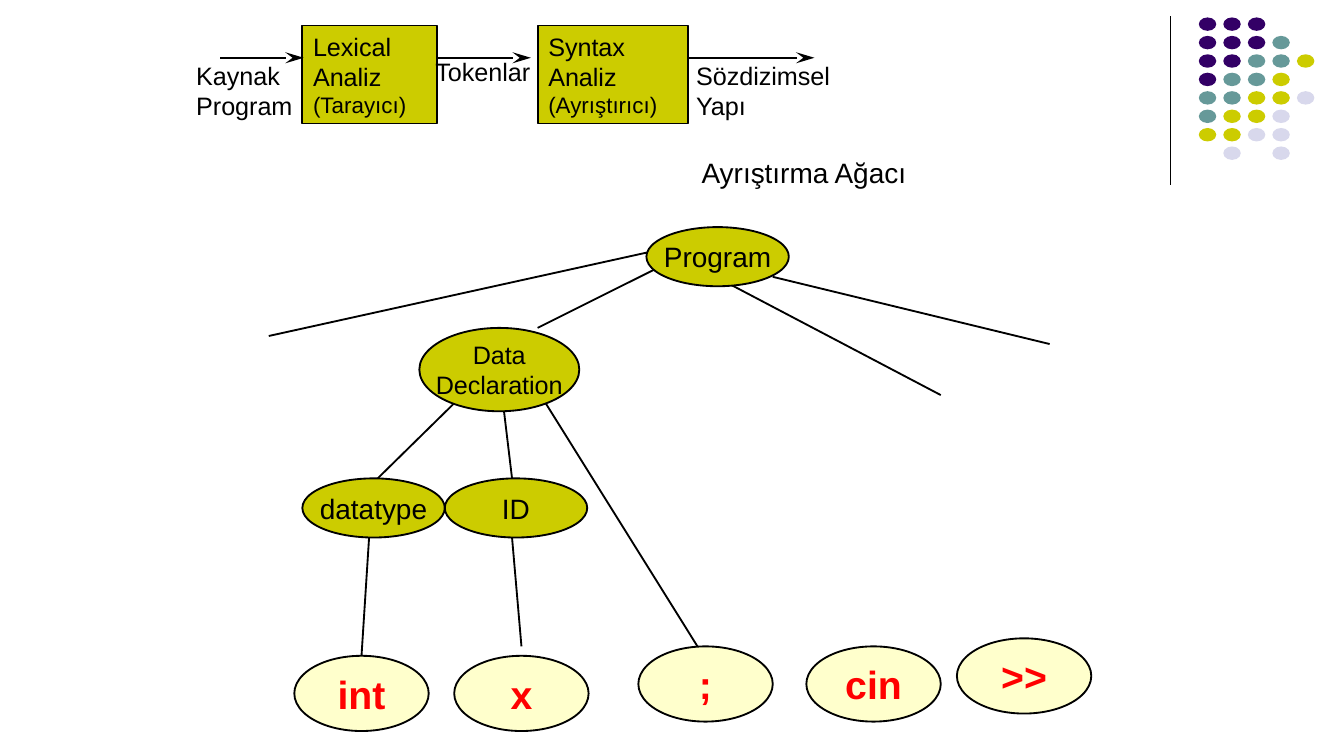
from lxml import etree
from pptx import Presentation
from pptx.dml.color import RGBColor
from pptx.enum.shapes import MSO_CONNECTOR, MSO_SHAPE
from pptx.enum.text import MSO_ANCHOR, PP_ALIGN
from pptx.oxml.ns import qn
from pptx.util import Inches, Pt

OVAL, RECTANGLE = MSO_SHAPE.OVAL, MSO_SHAPE.RECTANGLE
STRAIGHT = MSO_CONNECTOR.STRAIGHT
TOP, MIDDLE = MSO_ANCHOR.TOP, MSO_ANCHOR.MIDDLE
LEFT, CENTER = PP_ALIGN.LEFT, PP_ALIGN.CENTER

BLACK = RGBColor(0x00, 0x00, 0x00)
RED = RGBColor(0xFF, 0x00, 0x00)
OLIVE = RGBColor(0xCC, 0xCC, 0x00)
CREAM = RGBColor(0xFF, 0xFF, 0xCC)
PURPLE = RGBColor(0x33, 0x00, 0x66)
TEAL = RGBColor(0x66, 0x99, 0x99)
LAVENDER = RGBColor(0xD8, 0xD8, 0xEC)
FONT = "Arial"

SLIDE_WIDTH = 10
SLIDE_HEIGHT = SLIDE_WIDTH * 9 / 16

TITLE = ("Ayrıştırma Ağacı", (5.12, 1.11, 1.75, 0.35))
DIVIDER = (8.71, 0.12, 8.71, 1.38)

DOT_ROWS = ["PPP", "PPPT", "PPTTO", "PTTO", "TTOOL", "TOOL", "OOLL", " L L"]
DOT_COLORS = {"P": PURPLE, "T": TEAL, "O": OLIVE, "L": LAVENDER}
DOT_LEFT, DOT_RIGHT, DOT_TOP, DOT_BOTTOM = 8.92, 9.65, 0.13, 1.09
DOT_SIZE = (0.13, 0.1)

STAGES = [
    ("Lexical Analiz ", "(Tarayıcı)", (2.25, 0.19, 1, 0.73)),
    ("Syntax Analiz ", "(Ayrıştırıcı)", (4, 0.19, 1.12, 0.73)),
]
FLOW_LABELS = [
    ("Kaynak Program", (1.38, 0.41, 1.09, 0.53)),
    ("Tokenlar", (3.16, 0.38, 0.96, 0.3)),
    ("Sözdizimsel Yapı", (5.1, 0.41, 1.27, 0.53)),
]
FLOW_Y = 0.43
FLOW_ARROWS = [(1.64, 2.26), (3.26, 3.95), (5.12, 6.06)]

NODE_SIZE, LEAF_SIZE = (1.06, 0.44), (1, 0.56)
NODES = [
    (["Program"], (4.81, 1.69, *NODE_SIZE), 15),
    (["Data", "Declaration"], (3.12, 2.44, 1.19, 0.62), 13.5),
    (["datatype"], (2.25, 3.56, *NODE_SIZE), 15),
    (["ID"], (3.31, 3.56, *NODE_SIZE), 15),
]
LEAVES = [("int", 2.19, 4.88), ("x", 3.38, 4.88), (";", 4.75, 4.81),
          ("cin", 6, 4.81), (">>", 7.12, 4.75)]
BRANCHES = [
    (4.81, 1.88, 2, 2.5),
    (4.88, 2, 4, 2.44),
    (5.44, 2.12, 7, 2.94),
    (5.75, 2.06, 7.81, 2.56),
    (3.38, 3, 2.81, 3.56),
    (3.75, 3.06, 3.81, 3.56),
    (4.06, 3, 5.19, 4.81),
    (2.75, 3.94, 2.69, 4.88),
    (3.81, 4, 3.88, 4.81),
]


def inches(values):
    return [Inches(value) for value in values]


def add_line(slide, ends, width=1, arrow=False):
    line = slide.shapes.add_connector(STRAIGHT, *inches(ends))
    line.line.color.rgb = BLACK
    line.line.width = Pt(width)
    if arrow:
        outline = line._element.spPr.find(qn("a:ln"))
        etree.SubElement(outline, qn("a:tailEnd"), type="stealth", w="med", len="lg")
    etree.SubElement(line._element.spPr, qn("a:effectLst"))


def add_filled(slide, kind, box, fill, outlined=True):
    shape = slide.shapes.add_shape(kind, *inches(box))
    shape.shadow.inherit = False
    shape.fill.solid()
    shape.fill.fore_color.rgb = fill
    if outlined:
        shape.line.color.rgb = BLACK
        shape.line.width = Pt(1)
    else:
        shape.line.fill.background()
    return shape


def set_frame(shape, anchor, wrap, inset=(0.1, 0.05)):
    frame = shape.text_frame
    frame.vertical_anchor = anchor
    frame.word_wrap = wrap
    frame.margin_left = frame.margin_right = Inches(inset[0])
    frame.margin_top = frame.margin_bottom = Inches(inset[1])
    return frame


def style(target, size, color=BLACK, bold=False):
    font = target.font
    font.name, font.size, font.bold = FONT, Pt(size), bold
    font.color.rgb = color


def add_oval(slide, lines, box, fill, size, color=BLACK, bold=False):
    frame = set_frame(add_filled(slide, OVAL, box, fill), MIDDLE, False)
    frame.text = "\n".join(lines)
    for paragraph in frame.paragraphs:
        paragraph.alignment = CENTER
        style(paragraph, size, color, bold)


def add_title(slide):
    text, box = TITLE
    title = slide.shapes.title
    title.left, title.top, title.width, title.height = inches(box)
    frame = set_frame(title, TOP, True)
    frame.text = text
    frame.paragraphs[0].alignment = LEFT
    style(frame.paragraphs[0], 15)


def add_dots(slide):
    step_x = (DOT_RIGHT - DOT_LEFT) / (max(map(len, DOT_ROWS)) - 1)
    step_y = (DOT_BOTTOM - DOT_TOP) / (len(DOT_ROWS) - 1)
    for row, codes in enumerate(DOT_ROWS):
        for column, code in enumerate(codes):
            if code in DOT_COLORS:
                box = (DOT_LEFT + column * step_x, DOT_TOP + row * step_y, *DOT_SIZE)
                add_filled(slide, OVAL, box, DOT_COLORS[code], outlined=False)


def add_flow(slide):
    for name, role, box in STAGES:
        stage = add_filled(slide, RECTANGLE, box, OLIVE)
        paragraph = set_frame(stage, TOP, True, (0.08, 0.04)).paragraphs[0]
        paragraph.alignment = LEFT
        for text, size in ((name, 13.5), (role, 12)):
            run = paragraph.add_run()
            run.text = text
            style(run, size)
    for text, box in FLOW_LABELS:
        label = slide.shapes.add_textbox(*inches(box))
        frame = set_frame(label, TOP, True, (0.08, 0.04))
        frame.text = text
        style(frame.paragraphs[0], 13.5)
    for start, end in FLOW_ARROWS:
        add_line(slide, (start, FLOW_Y, end, FLOW_Y), arrow=True)


def add_tree(slide):
    for ends in BRANCHES:
        add_line(slide, ends)
    for lines, box, size in NODES:
        add_oval(slide, lines, box, OLIVE, size)
    for token, left, top in LEAVES:
        add_oval(slide, [token], (left, top, *LEAF_SIZE), CREAM, 21, RED, True)


def main():
    presentation = Presentation()
    presentation.slide_width = Inches(SLIDE_WIDTH)
    presentation.slide_height = Inches(SLIDE_HEIGHT)
    slide = presentation.slides.add_slide(presentation.slide_layouts[5])
    add_line(slide, DIVIDER, 0.75)
    add_dots(slide)
    add_title(slide)
    add_flow(slide)
    add_tree(slide)
    presentation.save("out.pptx")


if __name__ == "__main__":
    main()
